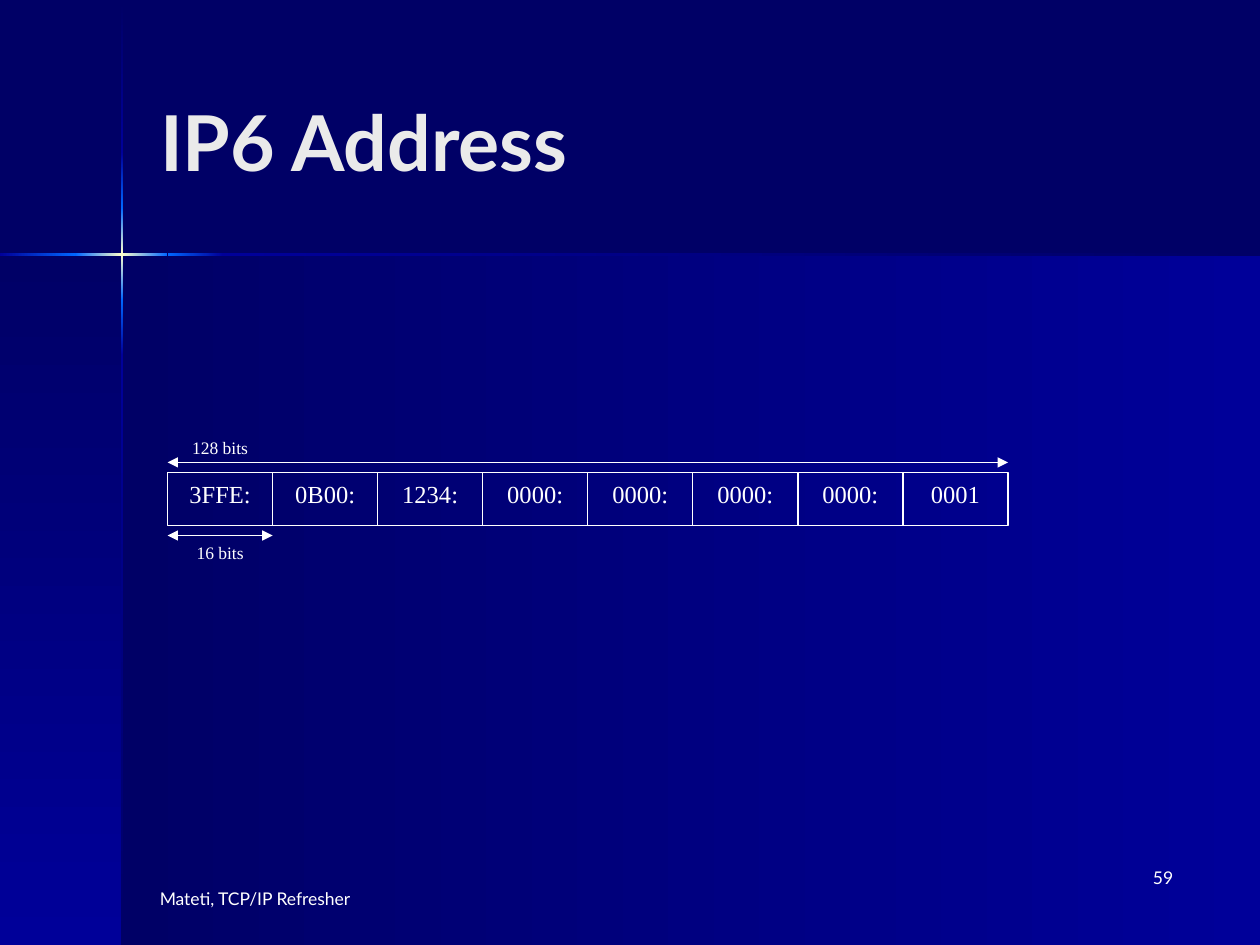
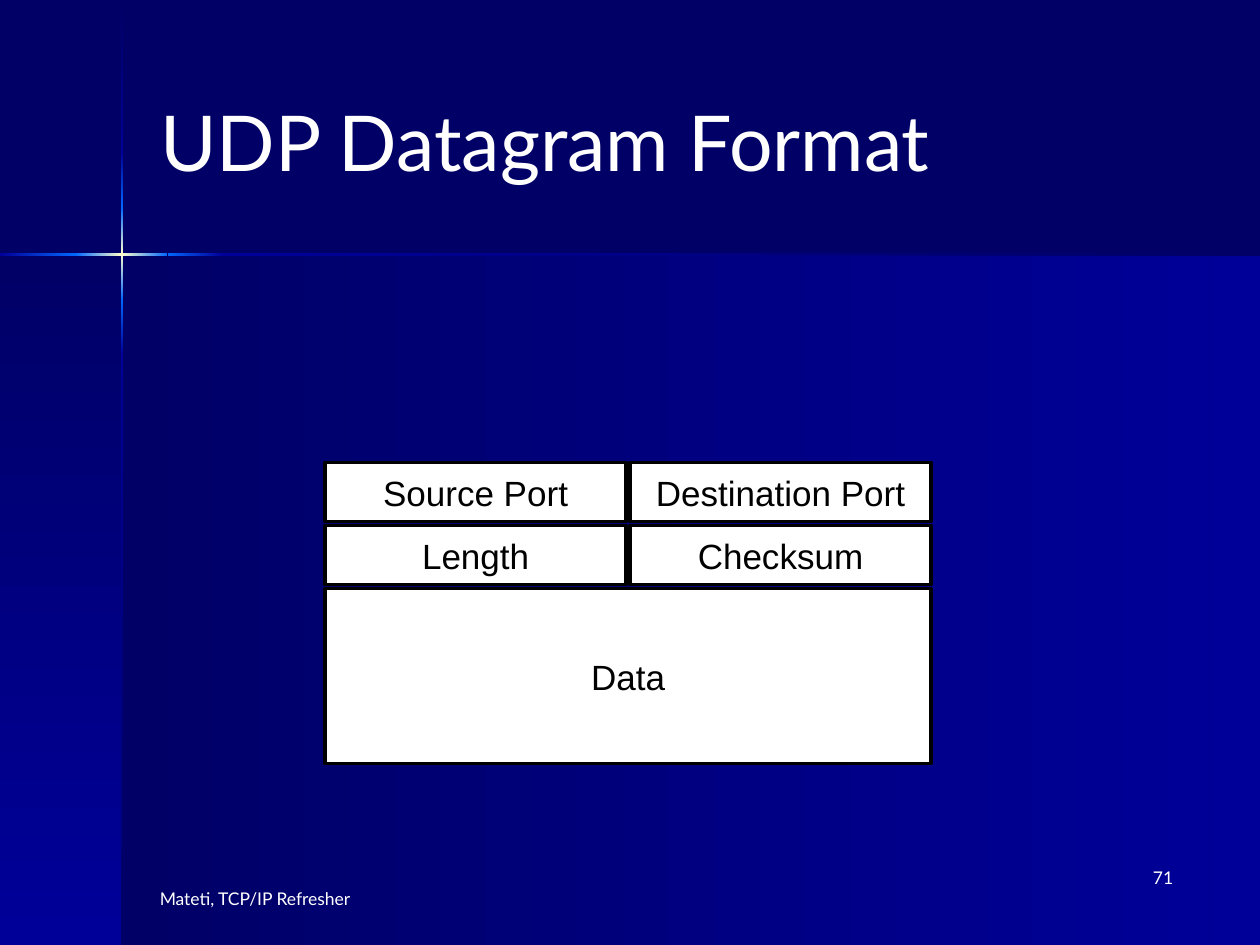
"""Build two network protocol slides: an IPv6 address and a UDP datagram."""
from lxml import etree
from pptx import Presentation
from pptx.dml.color import RGBColor
from pptx.enum.shapes import MSO_CONNECTOR as CONN, MSO_SHAPE as SHAPE
from pptx.enum.text import MSO_ANCHOR as ANCHOR, MSO_AUTO_SIZE as AUTO, PP_ALIGN as ALIGN
from pptx.oxml.ns import qn
from pptx.util import Inches, Pt

C = {"night": "000066", "blue": "000099", "bright": "0066FF", "glow": "FFFFCC",
     "white": "FFFFFF", "pale": "EAEAEA", "black": "000000"}
FOOTER = "Mateti, TCP/IP Refresher"

ADDRESS = {"title": "IP6 Address", "number": "59", "color": "pale", "bold": True}
GROUPS = ["3FFE:", "0B00:", "1234:", "0000:", "0000:", "0000:", "0000:", "0001"]
ADDRESS_LEFT, ADDRESS_RIGHT, ADDRESS_TOP, GROUP_H = 1.33, 8, 3.75, 0.42

UDP = {"title": "UDP Datagram Format", "number": "71", "color": "white", "bold": False}
HEADER_FIELDS = [["Source Port", "Destination Port"], ["Length", "Checksum"]]
PAYLOAD = "Data"
UDP_LEFT, UDP_TOP, FIELD_W, FIELD_H, PAYLOAD_H = 2.58, 3.67, 2.39, 0.47, 1.39
COL_STEP, ROW_STEP = 2.42, 0.5

PANELS = [
    ((0.97, 2.02, 9.03, 5.48), 0, ["night", "blue"]),
    ((0, 2.02, 0.97, 5.48), 90, ["night", "blue"]),
]
CROSS_X, CROSS_Y, CROSS_W = 0.96, 2.01, 0.02
FLARE = ["bright", "glow", "bright"]
UPRIGHT = [
    (0.01, 1.21, ["night", "blue"]),
    (1.21, 1.65, ["blue", "bright"]),
    (1.65, 2.38, FLARE),
    (2.38, 2.82, ["bright", "blue"]),
    (2.82, 7.5, ["blue", "night"]),
]
CROSSBAR = [
    (0, 0.6, ["blue", "bright"]),
    (0.6, 1.33, FLARE),
    (1.33, 1.77, ["bright", "blue"]),
    (1.77, 10, ["blue", "night"]),
]


def rgb(name):
    return RGBColor.from_string(C[name])


def write(tf, text, font, size, color="white", align=ALIGN.LEFT, anchor=ANCHOR.TOP,
          bold=False, wrap=True):
    tf.word_wrap = wrap
    tf.auto_size = AUTO.NONE
    tf.vertical_anchor = anchor
    p = tf.paragraphs[0]
    p.alignment = align
    r = p.add_run()
    r.text = text
    r.font.name, r.font.size, r.font.bold = font, Pt(size), bold
    r.font.color.rgb = rgb(color)


def add_text(s, box, text, font, align=ALIGN.LEFT):
    tb = s.shapes.add_textbox(*map(Inches, box))
    write(tb.text_frame, text, font, 10, align=align)


def add_rect(s, box, line=None, width=0.75, fill=None):
    sp = s.shapes.add_shape(SHAPE.RECTANGLE, *map(Inches, box))
    sp.shadow.inherit = False
    if fill:
        sp.fill.solid()
        sp.fill.fore_color.rgb = rgb(fill)
    else:
        sp.fill.background()
    if line:
        sp.line.color.rgb = rgb(line)
        sp.line.width = Pt(width)
    else:
        sp.line.fill.background()
    return sp


def add_gradient(s, box, angle, colors):
    sp = add_rect(s, box)
    no_fill = sp.element.spPr.find(qn("a:noFill"))
    grad = etree.Element(qn("a:gradFill"), rotWithShape="1")
    stops = etree.SubElement(grad, qn("a:gsLst"))
    for i, color in enumerate(colors):
        stop = etree.SubElement(stops, qn("a:gs"), pos=str(100000 * i // (len(colors) - 1)))
        etree.SubElement(stop, qn("a:srgbClr"), val=C[color])
    etree.SubElement(grad, qn("a:lin"), ang=str(angle * 60000), scaled="0")
    sp.element.spPr.replace(no_fill, grad)


def add_span_arrow(s, left, right, y):
    cx = s.shapes.add_connector(CONN.STRAIGHT, *map(Inches, (left, y, right, y)))
    cx.line.color.rgb = rgb("white")
    cx.line.width = Pt(0.75)
    ln = cx.line._get_or_add_ln()
    for end in ("a:headEnd", "a:tailEnd"):
        etree.SubElement(ln, qn(end), type="triangle")
    etree.SubElement(cx.element.spPr, qn("a:effectLst"))


def add_base(prs, page):
    s = prs.slides.add_slide(prs.slide_layouts[5])
    for box, angle, colors in PANELS:
        add_gradient(s, box, angle, colors)
    for top, bottom, colors in UPRIGHT:
        add_gradient(s, (CROSS_X, top, CROSS_W, bottom - top), 90, colors)
    for left, right, colors in CROSSBAR:
        add_gradient(s, (left, CROSS_Y, right - left, CROSS_W), 0, colors)
    title = s.shapes.title
    title.left, title.top, title.width, title.height = map(Inches, (1.17, 0.33, 8.25, 1.57))
    write(title.text_frame, page["title"], "Lato", 44, page["color"],
          anchor=ANCHOR.MIDDLE, bold=page["bold"])
    add_text(s, (1.17, 7, 2.67, 0.5), FOOTER, "Lato")
    add_text(s, (7.33, 6.83, 2.08, 0.5), page["number"], "Lato", ALIGN.RIGHT)
    return s


def build_address(prs):
    s = add_base(prs, ADDRESS)
    group_w = (ADDRESS_RIGHT - ADDRESS_LEFT) / len(GROUPS)
    for i, group in enumerate(GROUPS):
        box = (ADDRESS_LEFT + i * group_w, ADDRESS_TOP, group_w, GROUP_H)
        sp = add_rect(s, box, "white")
        write(sp.text_frame, group, "Times New Roman", 14, align=ALIGN.CENTER)
    for right, arrow_y, label_y, label in [
        (ADDRESS_RIGHT, 3.67, 3.42, "128 bits"),
        (ADDRESS_LEFT + group_w, 4.25, 4.25, "16 bits"),
    ]:
        add_span_arrow(s, ADDRESS_LEFT, right, arrow_y)
        add_text(s, (ADDRESS_LEFT, label_y, group_w, 0.27), label,
                 "Times New Roman", ALIGN.CENTER)


def build_udp(prs):
    s = add_base(prs, UDP)
    fields = [
        (text, (UDP_LEFT + col * COL_STEP, UDP_TOP + row * ROW_STEP, FIELD_W, FIELD_H))
        for row, texts in enumerate(HEADER_FIELDS) for col, text in enumerate(texts)
    ]
    payload_top = UDP_TOP + len(HEADER_FIELDS) * ROW_STEP
    fields.append((PAYLOAD, (UDP_LEFT, payload_top, COL_STEP + FIELD_W, PAYLOAD_H)))
    for text, box in fields:
        sp = add_rect(s, box, "black", 2, "white")
        write(sp.text_frame, text, "Arial", 20, "black", ALIGN.CENTER,
              ANCHOR.MIDDLE, wrap=False)


def main():
    prs = Presentation()
    prs.slide_width, prs.slide_height = Inches(10), Inches(7.5)
    fill = prs.slide_master.background.fill
    fill.solid()
    fill.fore_color.rgb = rgb("night")
    build_address(prs)
    build_udp(prs)
    prs.save("out.pptx")


if __name__ == "__main__":
    main()
